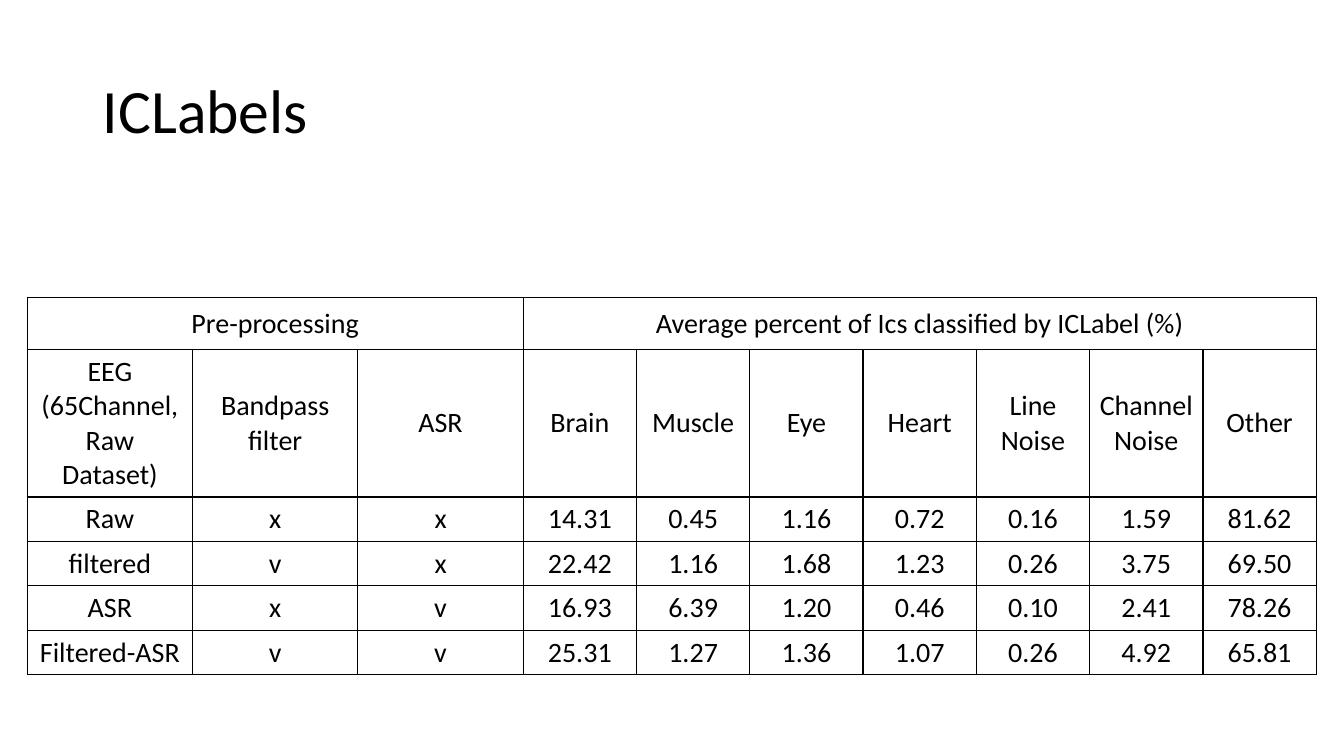
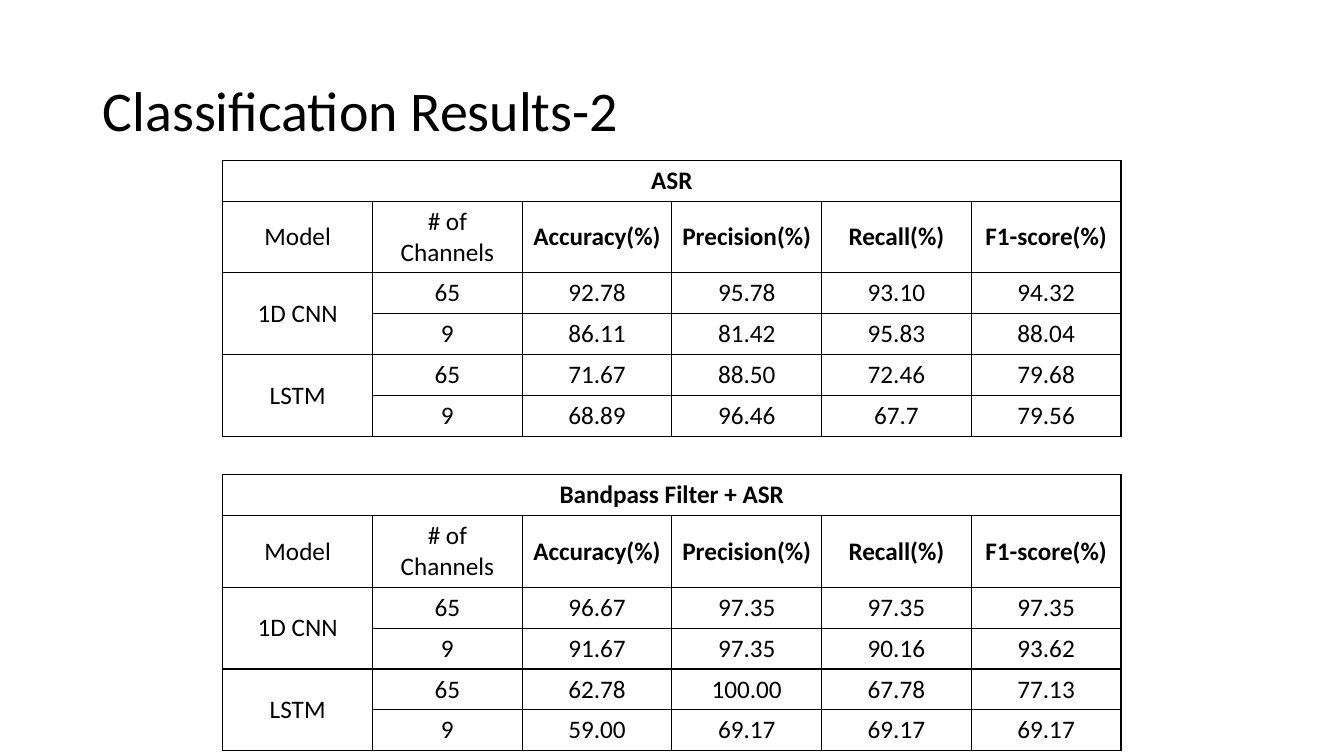
import dataclasses

import lxml.etree
import pptx
import pptx.dml.color
import pptx.enum.text
import pptx.oxml.ns
import pptx.util

Inches = pptx.util.Inches
Pt = pptx.util.Pt
PP_ALIGN = pptx.enum.text.PP_ALIGN
MSO_ANCHOR = pptx.enum.text.MSO_ANCHOR
qn = pptx.oxml.ns.qn


@dataclasses.dataclass(frozen=True)
class Theme:
    font: str = "Calibri"
    ink: str = "000000"
    title_size: int = 44
    small_title_size: int = 40
    label_size: int = 20
    result_size: int = 18
    border: int = 1
    cell_margin: float = 0.09


THEME = Theme()
TITLE_BOX = (0.92, 0.4, 11.5, 1.45)

LABEL_ROWS = [
    ["Pre-processing", "", "", "Average percent of Ics classified by ICLabel (%)"] + [""] * 6,
    ["EEG\n(65Channel, Raw Dataset)", "Bandpass\nfilter", "ASR", "Brain", "Muscle",
     "Eye", "Heart", "Line\nNoise", "Channel\nNoise", "Other"],
    ["Raw", "x", "x", "14.31", "0.45", "1.16", "0.72", "0.16", "1.59", "81.62"],
    ["filtered", "v", "x", "22.42", "1.16", "1.68", "1.23", "0.26", "3.75", "69.50"],
    ["ASR", "x", "v", "16.93", "6.39", "1.20", "0.46", "0.10", "2.41", "78.26"],
    ["Filtered-ASR", "v", "v", "25.31", "1.27", "1.36", "1.07", "0.26", "4.92", "65.81"],
]

RESULT_HEADS = ["Model", "# of Channels", "Accuracy(%)", "Precision(%)",
                "Recall(%)", "F1-score(%)"]
# Model and channel count of each result row
RESULT_KEYS = [("1D CNN", "65"), ("", "9"), ("LSTM", "65"), ("", "9")]
ASR_SCORES = [
    ["92.78", "95.78", "93.10", "94.32"],
    ["86.11", "81.42", "95.83", "88.04"],
    ["71.67", "88.50", "72.46", "79.68"],
    ["68.89", "96.46", "67.7", "79.56"],
]
BANDPASS_SCORES = [
    ["96.67", "97.35", "97.35", "97.35"],
    ["91.67", "97.35", "90.16", "93.62"],
    ["62.78", "100.00", "67.78", "77.13"],
    ["59.00", "69.17", "69.17", "69.17"],
]


def set_attrs(obj, values):
    for name, value in values.items():
        setattr(obj, name, value)


def format_text(tf, size, bold=False, **para):
    for p in tf.paragraphs:
        set_attrs(p, para)
        for r in p.runs:
            set_attrs(r.font, {"name": THEME.font, "size": Pt(size), "bold": bold})
            r.font.color.rgb = pptx.dml.color.RGBColor.from_string(THEME.ink)


def add_titled_slide(prs, title, size):
    s = prs.slides.add_slide(prs.slide_layouts[5])
    sp = s.shapes.title
    set_attrs(sp, dict(zip(("left", "top", "width", "height"), map(Inches, TITLE_BOX))))
    tf = sp.text_frame
    tf.text = title
    set_attrs(tf, {"word_wrap": True, "vertical_anchor": MSO_ANCHOR.MIDDLE})
    format_text(tf, size, alignment=PP_ALIGN.LEFT, line_spacing=0.9)
    return s


def set_borders(cell):
    tc_pr = cell._tc.get_or_add_tcPr()
    for side in ("a:lnL", "a:lnR", "a:lnT", "a:lnB"):
        ln = lxml.etree.SubElement(tc_pr, qn(side), w=str(Pt(THEME.border)))
        fill = lxml.etree.SubElement(ln, qn("a:solidFill"))
        lxml.etree.SubElement(fill, qn("a:srgbClr"), val=THEME.ink)


def add_grid(s, left, top, cols, heights, rows, spans, size, bold_cells=()):
    """Place a bordered table; spans lists (row, col, last row, last col)."""
    table = s.shapes.add_table(len(rows), len(cols), Inches(left), Inches(top),
                               Inches(sum(cols)), Inches(sum(heights))).table
    set_attrs(table, {"first_row": False, "horz_banding": False})
    for col, width in zip(table.columns, cols):
        col.width = Inches(width)
    for row, height in zip(table.rows, heights):
        row.height = Inches(height)

    for i, texts in enumerate(rows):
        for j, text in enumerate(texts):
            cell = table.cell(i, j)
            cell.text = text
            margin = Inches(THEME.cell_margin)
            set_attrs(cell, {"margin_left": margin, "margin_right": margin,
                             "vertical_anchor": MSO_ANCHOR.MIDDLE})
            set_borders(cell)
            cell.fill.background()
            format_text(cell.text_frame, size, (i, j) in bold_cells,
                        alignment=PP_ALIGN.CENTER)

    for r1, c1, r2, c2 in spans:
        table.cell(r1, c1).merge(table.cell(r2, c2))


def add_result_table(s, left, top, heading, scores):
    rows = [[heading] + [""] * 5, RESULT_HEADS]
    rows += [[*key, *values] for key, values in zip(RESULT_KEYS, scores)]
    add_grid(s, left, top, [1.485] * 6, [0.4, 0.71] + [0.4] * 4, rows,
             spans=[(0, 0, 0, 5), (2, 0, 3, 0), (4, 0, 5, 0)],
             size=THEME.result_size,
             bold_cells={(0, 0)} | {(1, j) for j in range(2, 6)})


def build_label_slide(prs):
    s = add_titled_slide(prs, "ICLabels", THEME.title_size)
    add_grid(s, 0.27, 2.95, [1.64] * 3 + [1.124] * 7, [0.52, 1.46] + [0.44] * 4,
             LABEL_ROWS, spans=[(0, 0, 0, 2), (0, 3, 0, 9)], size=THEME.label_size)


def build_result_slide(prs):
    s = add_titled_slide(prs, "Classification Results-2", THEME.small_title_size)
    add_result_table(s, 2.21, 4.71, "Bandpass Filter + ASR", BANDPASS_SCORES)
    add_result_table(s, 2.21, 1.59, "ASR", ASR_SCORES)


def main():
    prs = pptx.Presentation()
    set_attrs(prs, {"slide_width": Inches(13.33), "slide_height": Inches(7.5)})
    build_label_slide(prs)
    build_result_slide(prs)
    prs.save("out.pptx")


if __name__ == "__main__":
    main()
